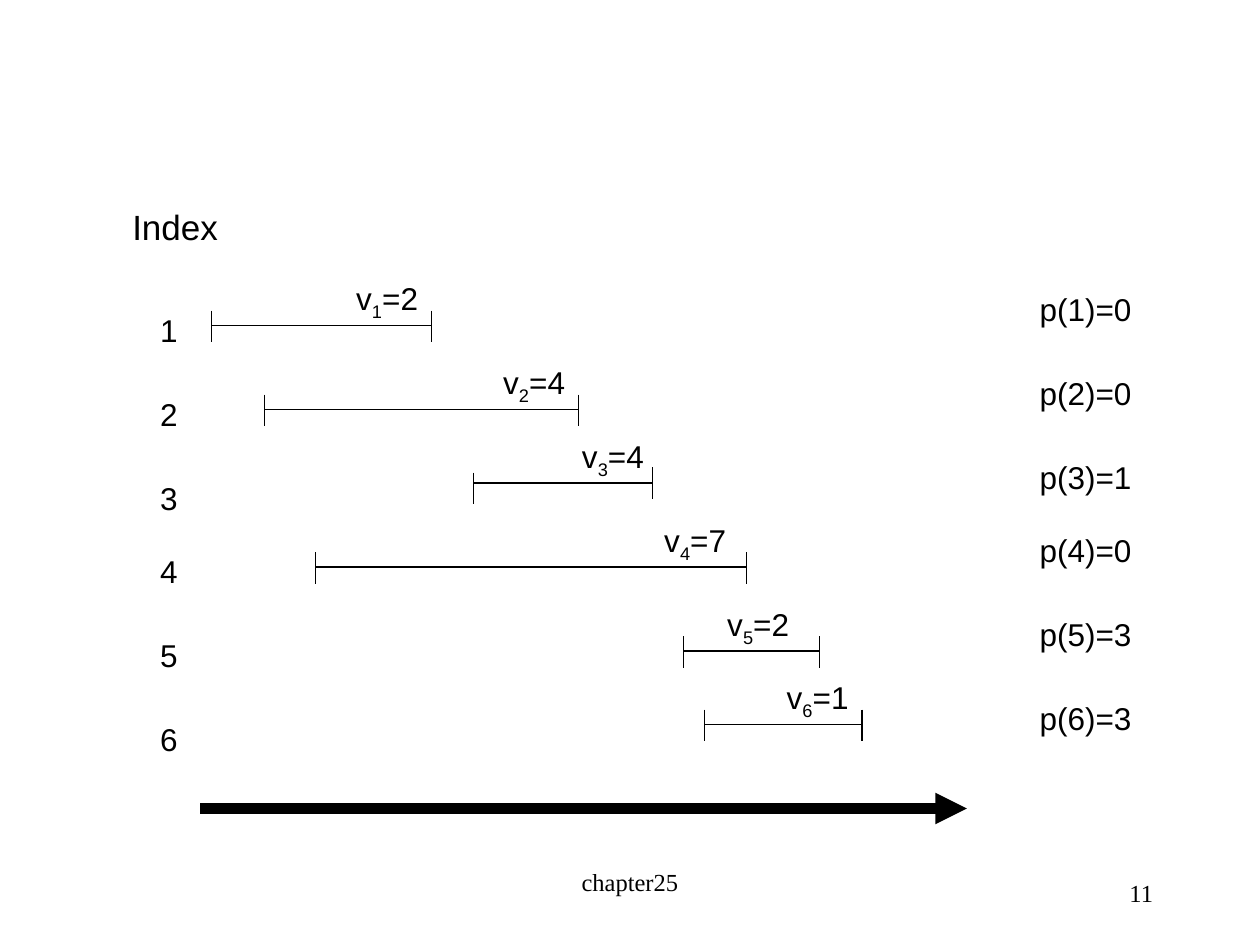
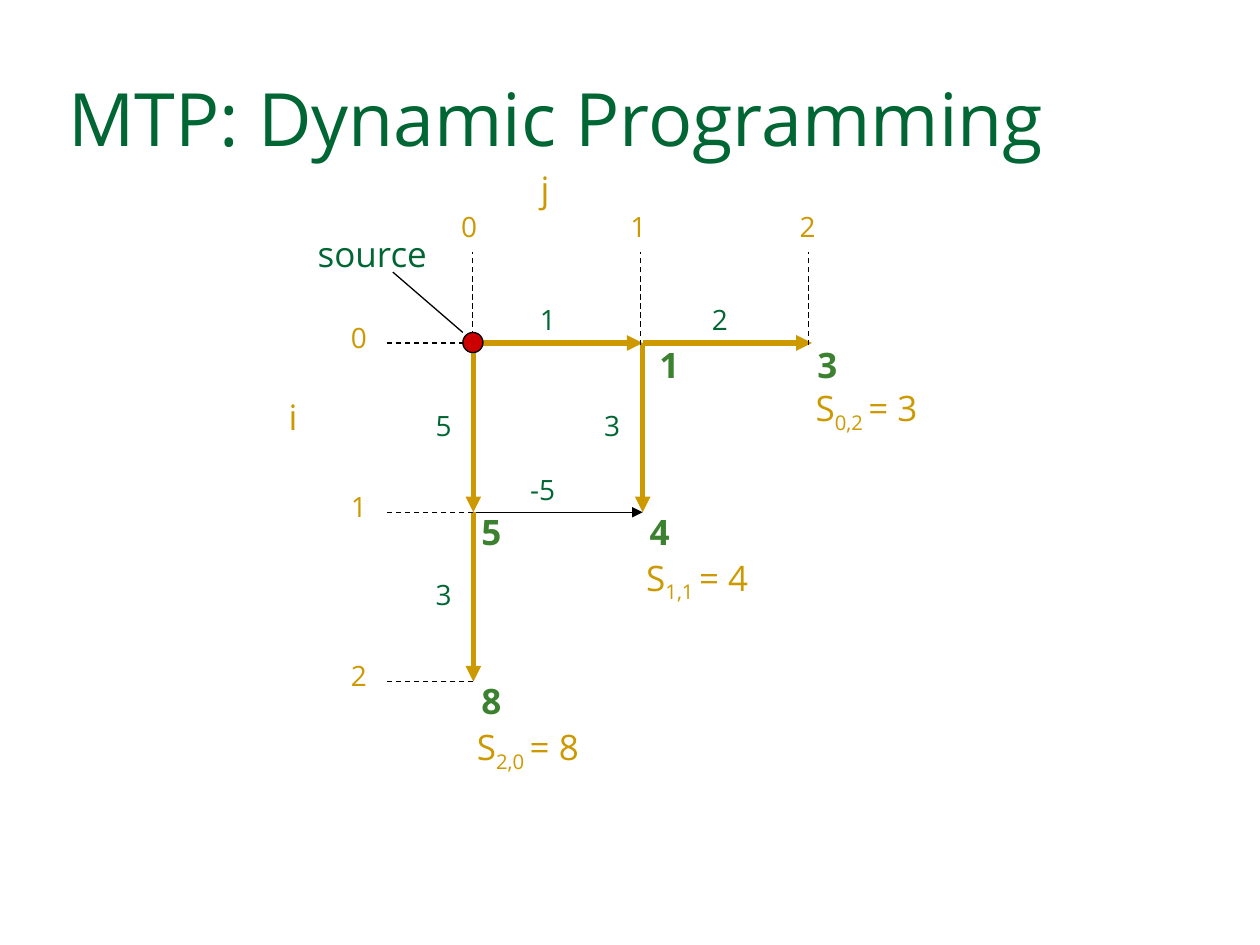
import dataclasses

import pptx
import pptx.dml.color
import pptx.enum.dml
import pptx.enum.shapes
import pptx.enum.text
import pptx.oxml
import pptx.oxml.ns
import pptx.util

Pt = pptx.util.Pt
Align = pptx.enum.text.PP_ALIGN
Anchor = pptx.enum.text.MSO_ANCHOR


@dataclasses.dataclass(frozen=True)
class Theme:
    black: str = "000000"
    green: str = "006633"
    score: str = "3B812F"
    gold: str = "CC9900"
    red: str = "CC0000"
    plain: str = "Arial"
    modern: str = "Open Sans"
    serif: str = "Times New Roman"
    title: int = 42
    heading: int = 20
    label: int = 18
    weight: int = 16
    footer: int = 14
    thin: float = 0.75
    path_line: float = 3
    axis_line: float = 6
    office_insets: tuple = (7.2, 3.6, 7.2, 3.6)
    graph_insets: tuple = (0, 0, 3, 0)


@dataclasses.dataclass(frozen=True)
class Interval:
    number_top: float
    line_top: float
    start: float
    end: float
    value_left: float
    value: int
    previous: int
    start_tick: float = -8.5
    end_tick: float = -8.5


THEME = Theme()


def colour(code):
    return pptx.dml.color.RGBColor.from_string(code)


def add_text(page, text, box, size=THEME.label, font=THEME.plain, color=THEME.black,
             bold=False, align=Align.LEFT, anchor=Anchor.TOP, wrap=True,
             insets=THEME.office_insets, indent=0):
    shape = page.shapes.add_textbox(*(Pt(length) for length in box))
    frame = shape.text_frame
    frame.word_wrap = wrap
    if not wrap:
        frame.auto_size = pptx.enum.text.MSO_AUTO_SIZE.SHAPE_TO_FIT_TEXT
    frame.vertical_anchor = anchor
    frame.margin_left, frame.margin_top, frame.margin_right, frame.margin_bottom = map(Pt, insets)
    para = frame.paragraphs[0]
    para.alignment = align
    para._p.get_or_add_pPr().set("marL", str(Pt(indent)))
    for position, part in enumerate(text.split("_")):
        span = para.add_run()
        span.text = part
        span.font.size = Pt(size)
        span.font.name = font
        span.font.bold = bold
        span.font.color.rgb = colour(color)
        if position % 2:
            span._r.get_or_add_rPr().set("baseline", "-25000")


def add_graph_text(page, text, box, **style):
    add_text(page, text, box, font=THEME.modern, insets=THEME.graph_insets, indent=3, **style)


def add_line(page, start, end, color=THEME.black, width=THEME.thin, dashed=False, arrow=False):
    line = page.shapes.add_connector(
        pptx.enum.shapes.MSO_CONNECTOR.STRAIGHT, *map(Pt, (*start, *end)))
    line.line.color.rgb = colour(color)
    line.line.width = Pt(width)
    if dashed:
        line.line.dash_style = pptx.enum.dml.MSO_LINE.DASH
    if arrow:
        head = pptx.oxml.parse_xml(
            f'<a:tailEnd {pptx.oxml.ns.nsdecls("a")} type="triangle"/>')
        line.line._get_or_add_ln().append(head)
    line._element.spPr.append(
        pptx.oxml.parse_xml(f'<a:effectLst {pptx.oxml.ns.nsdecls("a")}/>'))


def add_footer(page, box, name, number):
    left, top, width, height = box
    add_text(page, name, (left, top, 228, height),
             size=THEME.footer, font=THEME.serif, align=Align.CENTER)
    add_text(page, number, (left + width - 150, top, 150, height), size=THEME.footer,
             font=THEME.serif, align=Align.RIGHT, anchor=Anchor.MIDDLE)


def add_interval(page, box, index, interval):
    left, top, width, height = box
    line_top = top + interval.line_top
    start, end = left + interval.start, left + interval.end
    number_top = top + interval.number_top
    add_text(page, str(index), (left + 16, number_top, 24.5, 29), wrap=False)
    add_text(page, f"p({index})={interval.previous}",
             (left + width - 73.5, number_top - 12, 73.5, 29))
    add_text(page, f"v_{index}_={interval.value}",
             (left + interval.value_left, line_top - 30, 49.5, 31.5), wrap=False)
    add_line(page, (start, line_top), (end, line_top))
    for x, offset in ((start, interval.start_tick), (end, interval.end_tick)):
        add_line(page, (x, line_top + offset), (x, line_top + offset + 18))


def add_schedule(page, box):
    left, top, width, height = box
    intervals = [
        Interval(60, 72, 52.5, 178, 128, 2, 0),
        Interval(108, 120, 82.5, 262, 212, 4, 0),
        Interval(156, 162, 202, 304.5, 257, 4, 1, start_tick=-6, end_tick=-9),
        Interval(198, 210, 112, 358, 304, 7, 0),
        Interval(246, 258, 322, 400, 340, 2, 3),
        Interval(294, 300, 334, 424, 374, 1, 3),
    ]
    add_text(page, "Index", (left, top, 63.5, 31.5), size=THEME.heading, wrap=False)
    for index, interval in enumerate(intervals, start=1):
        add_interval(page, box, index, interval)
    axis_top = top + height
    add_line(page, (left + 46, axis_top), (left + 484, axis_top),
             width=THEME.axis_line, arrow=True)


def add_axes(page, box):
    left, top, width, height = box
    for index in range(3):
        tick_x = left - 0.5 + 96 * index
        column_x = left + index * width / 2
        row_y = top + index * height / 2
        add_line(page, (tick_x, top + 1), (tick_x, top - 52), dashed=True)
        add_line(page, (left, row_y), (left - 51.5, row_y), dashed=True)
        for x, y in ((column_x - 10, top - 76.5), (left - 73, row_y - 13)):
            add_graph_text(page, str(index), (x, y, 16, 19.5),
                           size=THEME.weight, color=THEME.gold, wrap=False)
    for name, x, y in (("i", -108.5, 30), ("j", 35.5, -100)):
        add_graph_text(page, name, (left + x, top + y, 25, 31),
                       size=THEME.heading, color=THEME.gold)


def add_edges(page, box):
    left, top, width, height = box
    edges = [
        ((0, 0), (0, 1), "1", (35, -23), True),
        ((0, 0), (1, 0), "5", (-24.5, 37.5), True),
        ((0, 1), (1, 1), "3", (-25, 37.5), True),
        ((0, 1), (0, 2), "2", (36.5, -23), True),
        ((1, 0), (1, 1), "-5", (29.5, -23), False),
        ((1, 0), (2, 0), "3", (-24.5, 37.5), True),
    ]
    for origin, target, weight, (dx, dy), chosen in edges:
        start, end = ((left + column * width / 2, top + row * height / 2)
                      for row, column in (origin, target))
        add_line(page, start, end, arrow=True,
                 color=THEME.gold if chosen else THEME.black,
                 width=THEME.path_line if chosen else THEME.thin)
        add_graph_text(page, weight, (start[0] + dx, start[1] + dy, 30, 26),
                       size=THEME.weight, color=THEME.green)


def add_scores(page, box):
    left, top, width, height = box
    scores = [(0, 1, 1, 6.5, 0), (0, 2, 3, 0, 0), (1, 0, 5, 1.5, -1),
              (1, 1, 4, 1, -1), (2, 0, 8, 1.5, -1)]
    for row, column, score, dx, dy in scores:
        x, y = left + column * width / 2, top + row * height / 2
        add_graph_text(page, str(score), (x + dx, y + dy, 18, 24),
                       size=THEME.heading, color=THEME.score, bold=True, wrap=False)
        if row + column == 2:
            add_graph_text(page, f"S_{row},{column} _= {score}", (x - 1, y + 25, 84, 58),
                           size=THEME.heading, color=THEME.gold)


def add_source(page, box):
    left, top, width, height = box
    marker = page.shapes.add_shape(pptx.enum.shapes.MSO_SHAPE.OVAL,
                                   *map(Pt, (left - 6, top - 6, 11.5, 11.5)))
    marker.shadow.inherit = False
    marker.fill.solid()
    marker.fill.fore_color.rgb = colour(THEME.red)
    marker.line.color.rgb = colour(THEME.black)
    marker.line.width = Pt(THEME.thin)
    add_graph_text(page, "source", (left - 92, top - 63, 80, 31),
                   size=THEME.heading, color=THEME.green)
    add_line(page, (left - 46, top - 40.5), (left - 6, top - 6))


def build_schedule_page(page):
    add_schedule(page, (68.5, 114, 592, 348))
    add_footer(page, (246, 492, 420, 36), "chapter25", "11")


def build_graph_page(page):
    grid = (270.5, 196, 193.5, 193.5)
    add_graph_text(page, "MTP: Dynamic Programming", (36, 42, 648, 58),
                   size=THEME.title, color=THEME.green)
    for add_part in (add_edges, add_axes, add_scores, add_source):
        add_part(page, grid)


def main():
    deck = pptx.Presentation()
    deck.slide_width, deck.slide_height = Pt(720), Pt(540)
    for build_page in (build_schedule_page, build_graph_page):
        build_page(deck.slides.add_slide(deck.slide_layouts[6]))
    deck.save("out.pptx")


if __name__ == "__main__":
    main()
